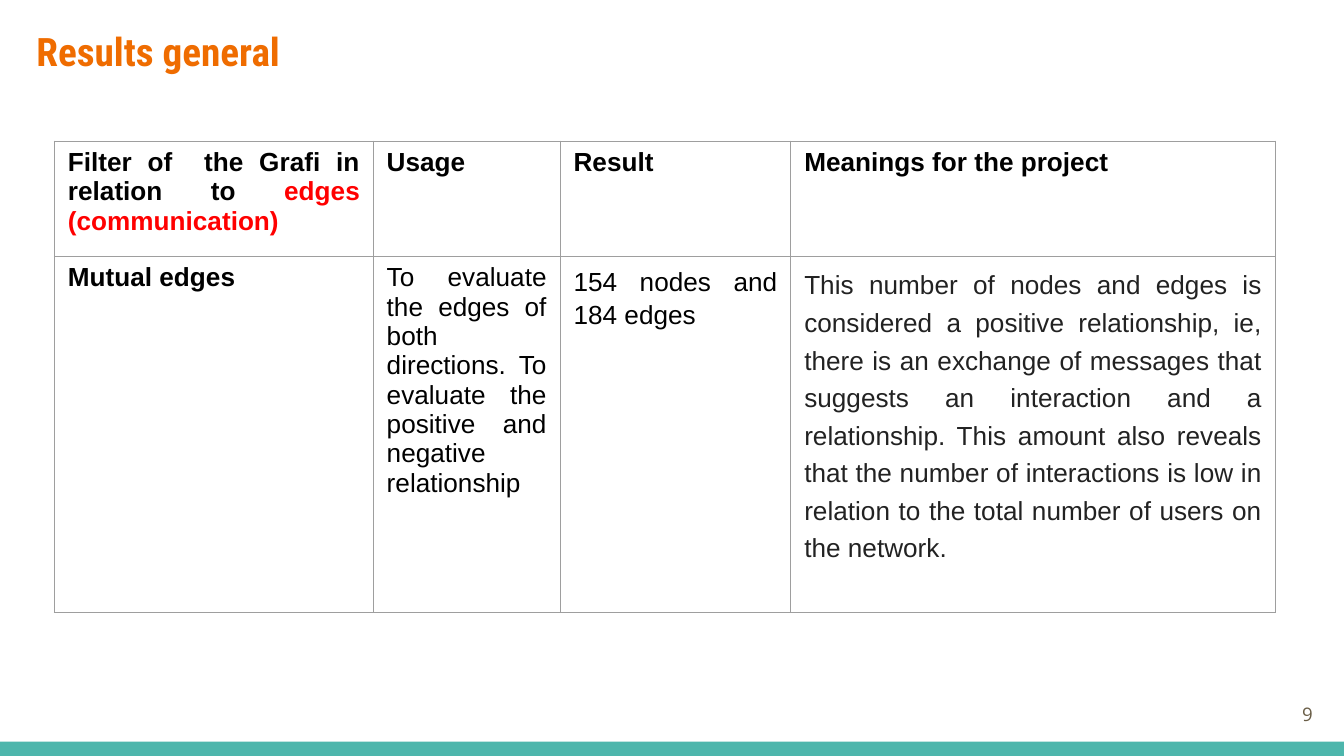
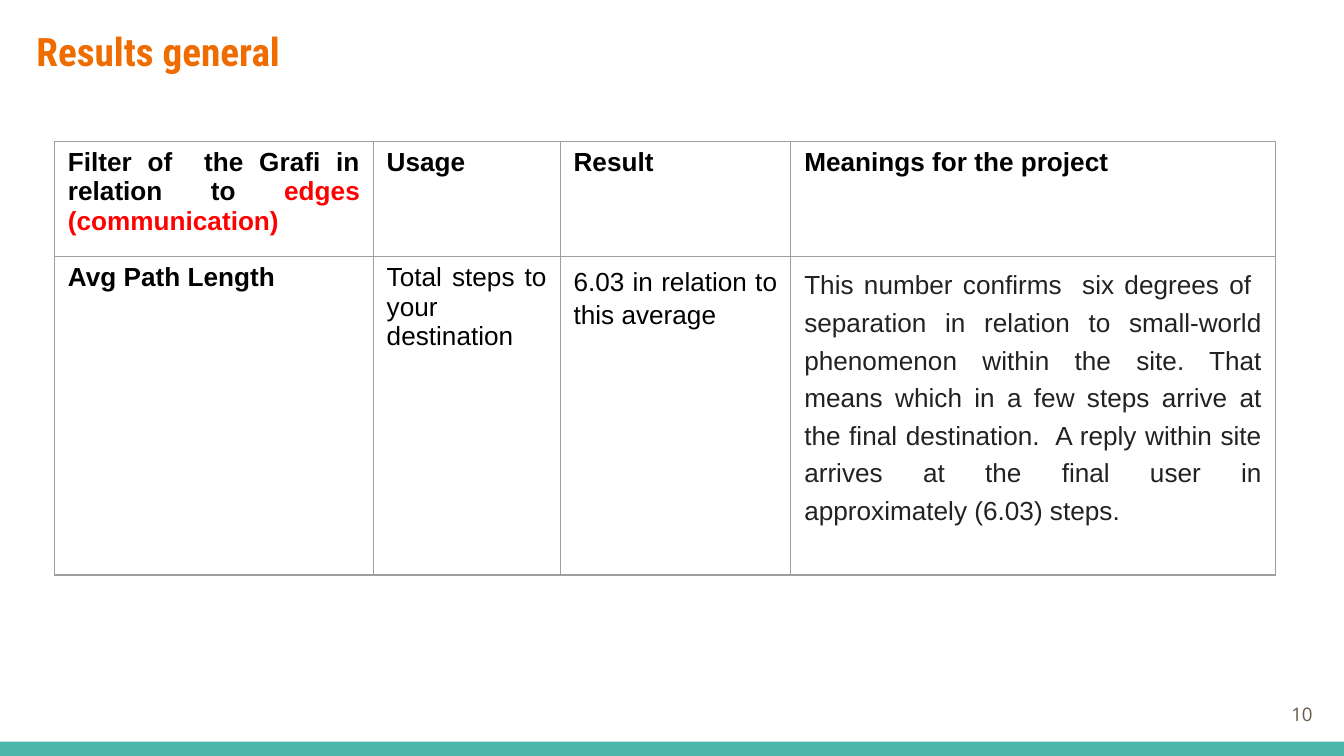
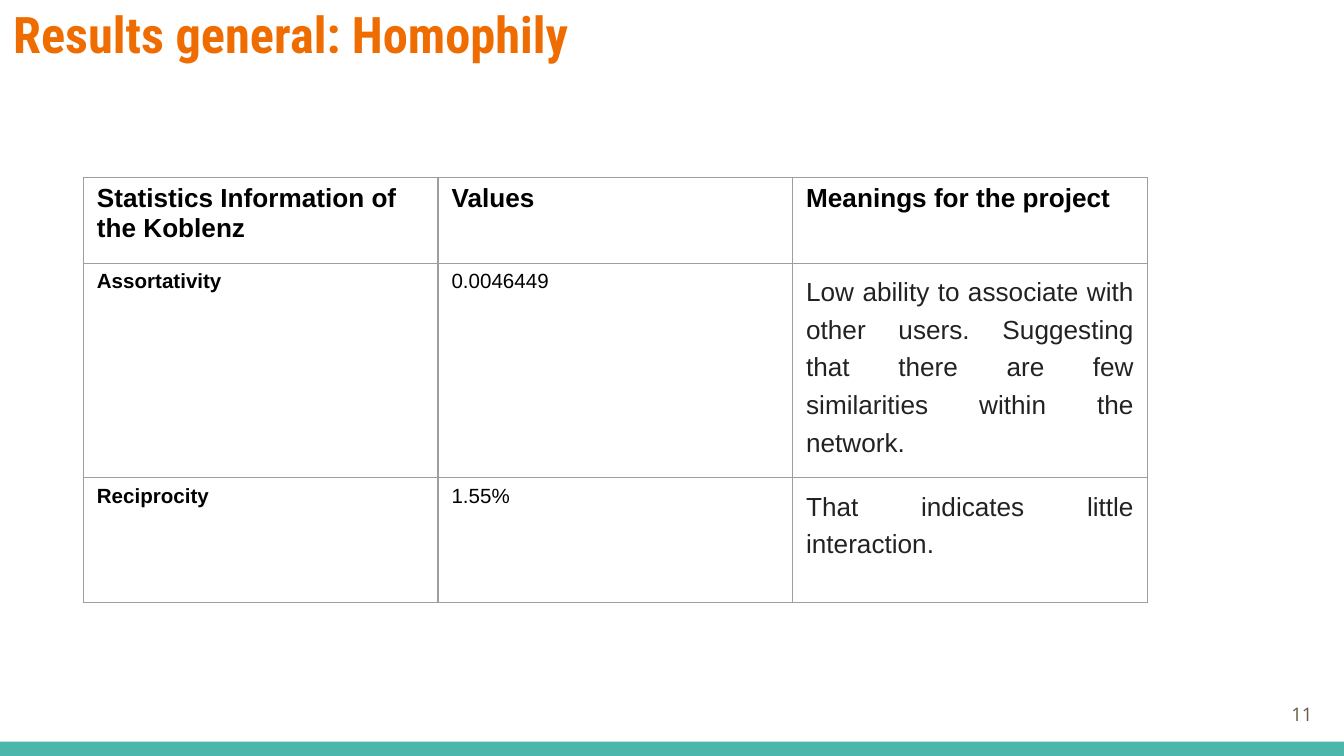
"""Build three result slides, each with a title, a bordered table and a numbered footer band."""

from dataclasses import dataclass

from lxml import etree
from pptx import Presentation
from pptx.dml.color import RGBColor
from pptx.enum.shapes import MSO_SHAPE
from pptx.enum.text import MSO_ANCHOR, PP_ALIGN
from pptx.oxml.ns import qn
from pptx.presentation import Presentation as Deck
from pptx.slide import Slide
from pptx.table import _Cell
from pptx.text.text import _Paragraph
from pptx.util import Pt

RECTANGLE = MSO_SHAPE.RECTANGLE
TOP, MIDDLE = MSO_ANCHOR.TOP, MSO_ANCHOR.MIDDLE
LEFT, RIGHT, JUSTIFY = PP_ALIGN.LEFT, PP_ALIGN.RIGHT, PP_ALIGN.JUSTIFY

WHITE = RGBColor(0xFF, 0xFF, 0xFF)
BLACK = RGBColor(0x00, 0x00, 0x00)
CHARCOAL = RGBColor(0x22, 0x22, 0x22)
RED = RGBColor(0xFF, 0x00, 0x00)
ORANGE = RGBColor(0xEF, 0x6C, 0x00)
TEAL = RGBColor(0x4D, 0xB6, 0xAC)
BROWN = RGBColor(0x69, 0x5D, 0x46)
GREY = RGBColor(0x9E, 0x9E, 0x9E)

TITLE_FONT, BODY_FONT, NUMBER_FONT = "Roboto Condensed", "Arial", "Open Sans"
SLIDE_WIDTH, SLIDE_HEIGHT = 720, 405
BAND_HEIGHT = 7.7
TEXT_INSET = 7.2
CELL_INSET = 3.6
BORDER_WIDTH = 0.75
FIRST_NUMBER = 9


@dataclass(frozen=True)
class Box:
    """A rectangle in points."""

    left: float
    top: float
    width: float
    height: float


@dataclass(frozen=True)
class Span:
    """A stretch of text in one format."""

    text: str
    size: float = 14
    color: RGBColor = BLACK
    bold: bool = False
    font: str = BODY_FONT


@dataclass(frozen=True)
class CellText:
    """The paragraph of one table cell."""

    spans: tuple[Span, ...]
    alignment: PP_ALIGN = LEFT
    line_spacing: float = 1.0


@dataclass(frozen=True)
class ResultTable:
    """A table with its place, its grid in points and its texts."""

    left: float
    top: float
    columns: tuple[float, ...]
    rows: tuple[float, ...]
    cells: tuple[tuple[CellText, ...], ...]


@dataclass(frozen=True)
class ResultSlide:
    """One slide: a title and a table."""

    title: str
    title_size: float
    title_box: Box
    table: ResultTable


def heading(text: str, size: float = 14, alignment: PP_ALIGN = LEFT) -> CellText:
    """Return a bold cell text."""
    return CellText((Span(text, size, bold=True),), alignment)


def meaning(text: str) -> CellText:
    """Return a justified, widely spaced explanation."""
    return CellText((Span(text, color=CHARCOAL),), JUSTIFY, 1.28)


def edge_filter_slide(name: str, usage: str, result: str, explanation: str, height: float) -> ResultSlide:
    """Describe a slide about one filter of the edges."""
    filter_heading = CellText(
        (
            Span("Filter of  the Grafi in relation to ", bold=True),
            Span("edges (communication)", color=RED, bold=True),
        ),
        JUSTIFY,
    )
    cells = (
        (
            filter_heading,
            heading("Usage"),
            heading("Result"),
            heading("Meanings for the project", alignment=JUSTIFY),
        ),
        (
            heading(name, alignment=JUSTIFY),
            CellText((Span(usage),), JUSTIFY),
            CellText((Span(result),), JUSTIFY, 1.15),
            meaning(explanation),
        ),
    )
    table = ResultTable(29.2, 75.6, (170.8, 100.1, 123.6, 259.6), (61.7, height), cells)
    return ResultSlide("Results general", 21, Box(12.4, 7.2, 671, 55.4), table)


def statistic_row(name: str, value: str, explanation: str) -> tuple[CellText, ...]:
    """Return the cells of one network statistic."""
    return heading(name, 11), CellText((Span(value, 11),)), meaning(explanation)


RESULT_SLIDES = (
    edge_filter_slide(
        "Mutual edges",
        "To evaluate the edges of both directions. To evaluate the positive and negative relationship",
        "154 nodes and 184 edges",
        "This number of nodes and edges is considered a positive relationship, ie, there is an "
        "exchange of messages that suggests an interaction and a relationship. This amount also "
        "reveals that the number of interactions is low in relation to the total number of users "
        "on the network.",
        190.8,
    ),
    edge_filter_slide(
        "Avg Path Length",
        "Total steps to your destination",
        "6.03 in relation to this average",
        "This number confirms  six degrees of  separation in relation to small-world phenomenon "
        "within the site. That means which in a few steps arrive at the final destination.  A reply "
        "within site arrives at the final user in approximately (6.03) steps.",
        170.8,
    ),
    ResultSlide(
        "Results general: Homophily",
        27,
        Box(0, -5.8, 629.3, 63.4),
        ResultTable(
            44.7,
            95,
            (190,) * 3,
            (46, 115, 67),
            (
                (
                    heading("Statistics Information of the Koblenz"),
                    heading("Values"),
                    heading("Meanings for the project"),
                ),
                statistic_row(
                    "Assortativity",
                    "0.0046449",
                    "Low ability to associate with other users. Suggesting that there are few "
                    "similarities within the network.",
                ),
                statistic_row("Reciprocity", "1.55%", "That indicates little interaction."),
            ),
        ),
    ),
)


def add_span(paragraph: _Paragraph, span: Span) -> None:
    """Add one formatted run to a paragraph."""
    run = paragraph.add_run()
    run.text = span.text
    run.font.name = span.font
    run.font.size = Pt(span.size)
    run.font.bold = span.bold
    run.font.color.rgb = span.color


def add_text(slide: Slide, box: Box, span: Span, alignment: PP_ALIGN, anchor: MSO_ANCHOR) -> None:
    """Add a text box holding one line."""
    shape = slide.shapes.add_textbox(Pt(box.left), Pt(box.top), Pt(box.width), Pt(box.height))
    frame = shape.text_frame
    frame.word_wrap = True
    frame.vertical_anchor = anchor
    frame.margin_left = frame.margin_right = Pt(TEXT_INSET)
    frame.margin_top = frame.margin_bottom = Pt(TEXT_INSET)
    paragraph = frame.paragraphs[0]
    paragraph.alignment = alignment
    add_span(paragraph, span)


def add_borders(cell: _Cell) -> None:
    """Draw a thin grey line on every side of a cell."""
    properties = cell._tc.get_or_add_tcPr()
    for side in ("a:lnL", "a:lnR", "a:lnT", "a:lnB"):
        line = etree.SubElement(properties, qn(side), w=str(Pt(BORDER_WIDTH)))
        fill = etree.SubElement(line, qn("a:solidFill"))
        etree.SubElement(fill, qn("a:srgbClr"), val=str(GREY))


def fill_cell(cell: _Cell, content: CellText) -> None:
    """Write and format one table cell."""
    add_borders(cell)
    cell.fill.background()
    cell.margin_left = cell.margin_right = Pt(TEXT_INSET)
    cell.margin_top = cell.margin_bottom = Pt(CELL_INSET)
    paragraph = cell.text_frame.paragraphs[0]
    paragraph.alignment = content.alignment
    paragraph.line_spacing = content.line_spacing
    for span in content.spans:
        add_span(paragraph, span)


def add_result_table(slide: Slide, content: ResultTable) -> None:
    """Add a plain bordered table."""
    table = slide.shapes.add_table(
        len(content.rows),
        len(content.columns),
        Pt(content.left),
        Pt(content.top),
        Pt(sum(content.columns)),
        Pt(sum(content.rows)),
    ).table
    table.first_row = table.horz_banding = False
    for column, width in zip(table.columns, content.columns):
        column.width = Pt(width)
    for row, height, texts in zip(table.rows, content.rows, content.cells):
        row.height = Pt(height)
        for cell, text in zip(row.cells, texts):
            fill_cell(cell, text)


def add_band(slide: Slide) -> None:
    """Add the coloured band along the bottom edge."""
    band = slide.shapes.add_shape(
        RECTANGLE, Pt(0), Pt(SLIDE_HEIGHT - BAND_HEIGHT), Pt(SLIDE_WIDTH), Pt(BAND_HEIGHT)
    )
    band.shadow.inherit = False
    band.fill.solid()
    band.fill.fore_color.rgb = TEAL
    band.line.fill.background()


def add_result_slide(presentation: Deck, content: ResultSlide, number: int) -> None:
    """Add one complete slide."""
    slide = presentation.slides.add_slide(presentation.slide_layouts[6])
    slide.background.fill.solid()
    slide.background.fill.fore_color.rgb = WHITE
    add_band(slide)
    title = Span(content.title, content.title_size, ORANGE, True, TITLE_FONT)
    add_text(slide, content.title_box, title, LEFT, TOP)
    add_result_table(slide, content.table)
    number_span = Span(str(number), 10, BROWN, font=NUMBER_FONT)
    add_text(slide, Box(667.1, 367.2, 43.2, 31), number_span, RIGHT, MIDDLE)


def main() -> None:
    """Build and save the presentation."""
    presentation = Presentation()
    presentation.slide_width = Pt(SLIDE_WIDTH)
    presentation.slide_height = Pt(SLIDE_HEIGHT)
    for number, content in enumerate(RESULT_SLIDES, FIRST_NUMBER):
        add_result_slide(presentation, content, number)
    presentation.save("out.pptx")


if __name__ == "__main__":
    main()
